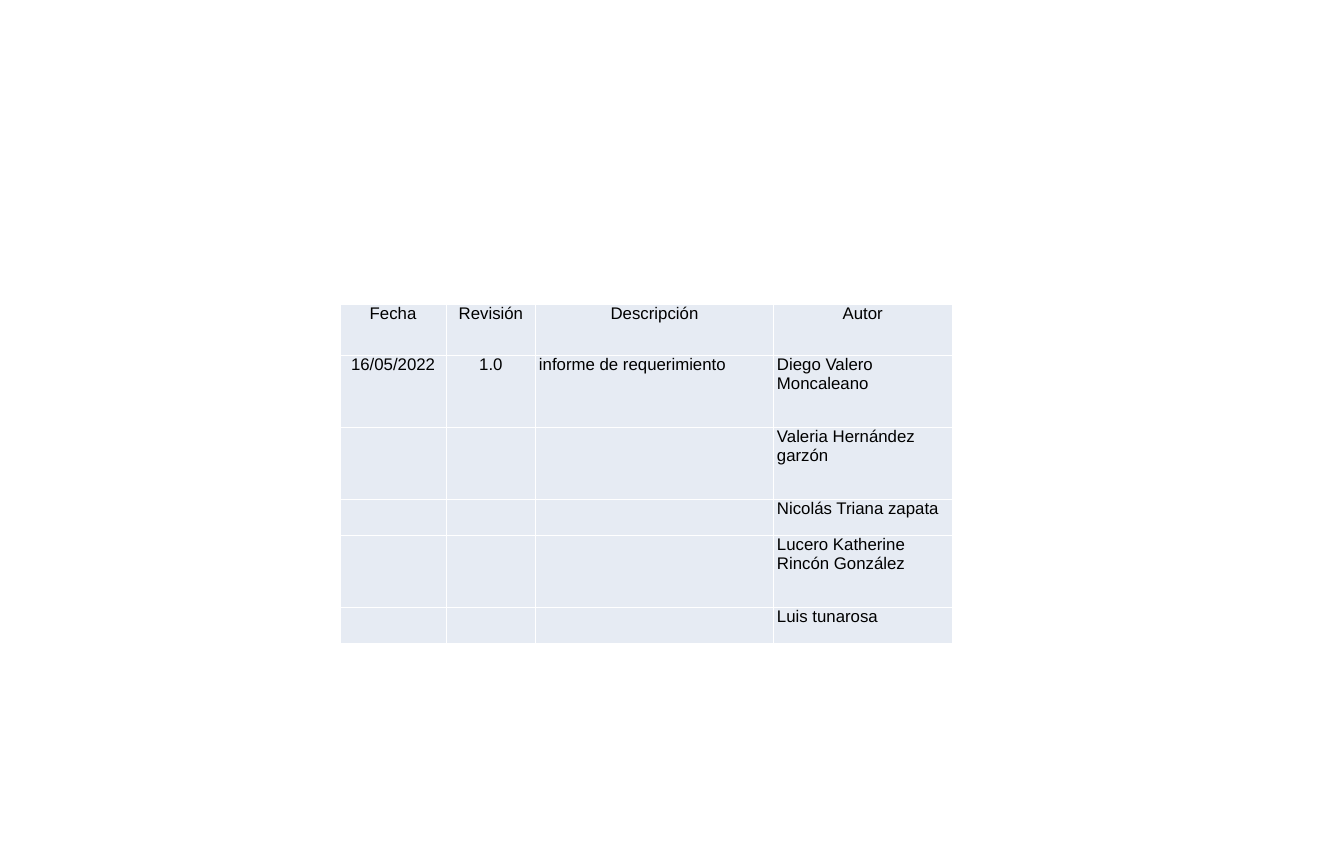
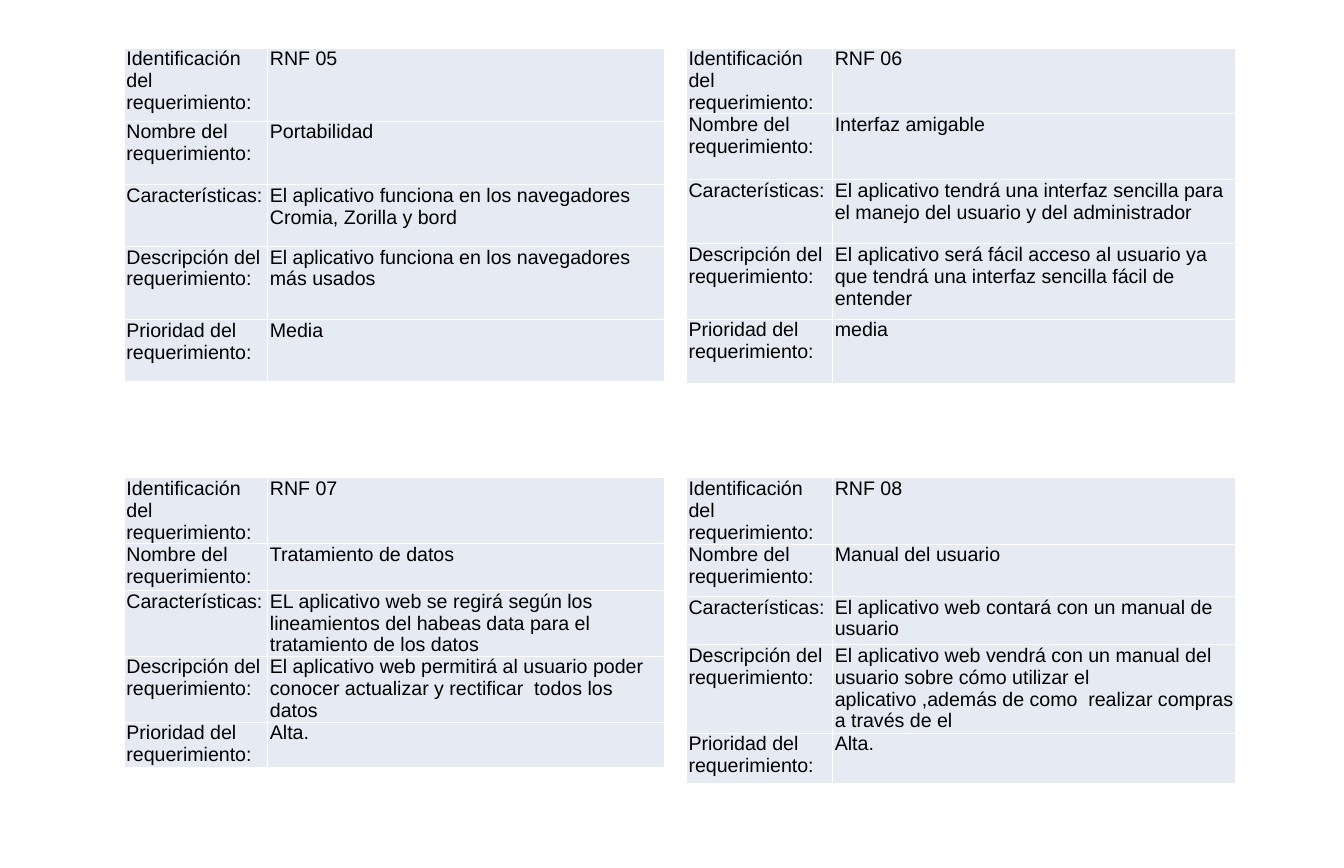
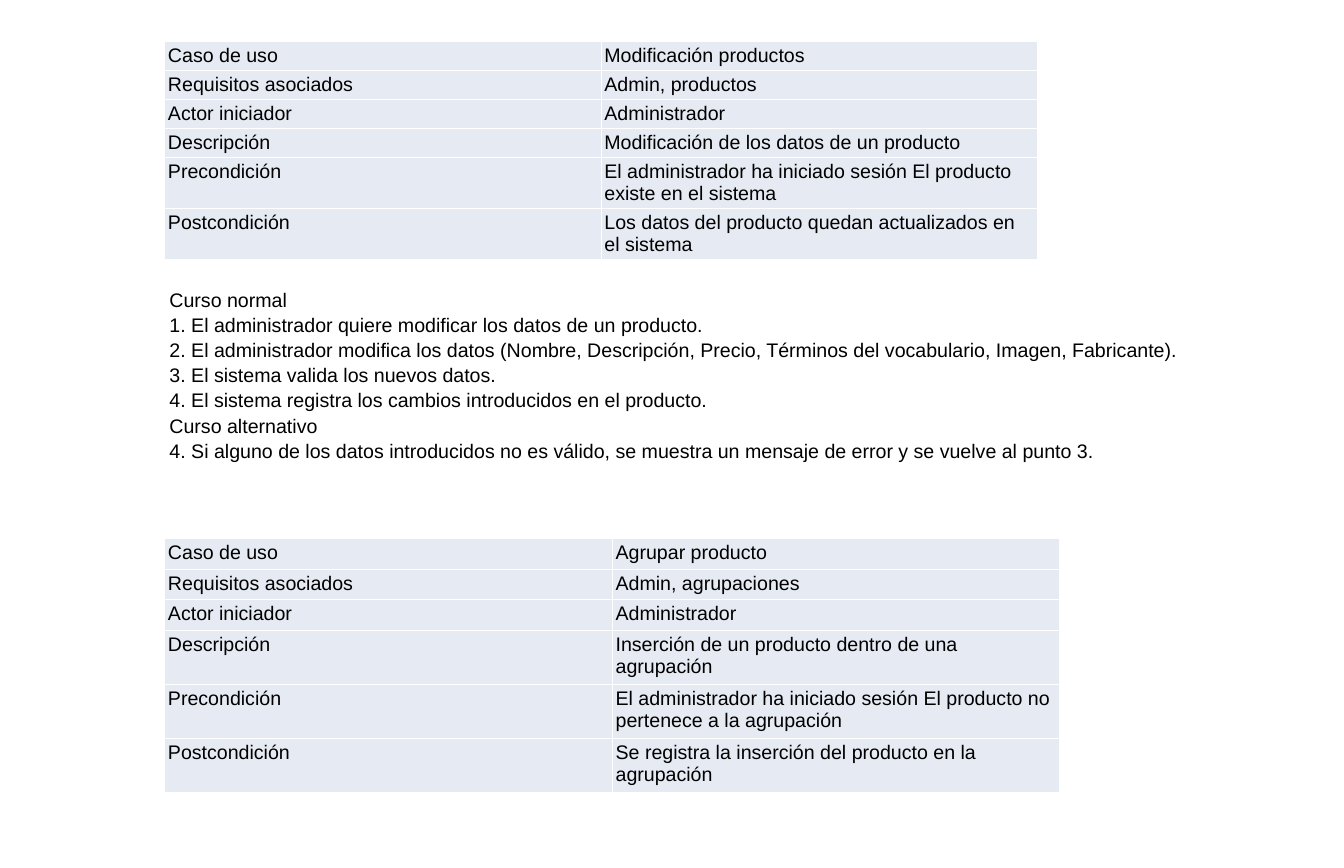
from dataclasses import dataclass

from lxml.etree import SubElement
from pptx import Presentation
from pptx.dml.color import RGBColor
from pptx.enum.text import MSO_ANCHOR, MSO_AUTO_SIZE, PP_ALIGN
from pptx.oxml.ns import qn
from pptx.slide import Slide
from pptx.table import _Cell
from pptx.text.text import _Paragraph
from pptx.util import Pt

# Shared style
FONT = "Arial"
INK = RGBColor(0x00, 0x00, 0x00)
FILL = RGBColor(0xE6, 0xEB, 0xF3)
EDGE = RGBColor(0xFF, 0xFF, 0xFF)
BODY = 28


@dataclass
class Grid:
    """A table; all lengths are in points."""
    left: float
    top: float
    cols: list[float]
    rows: list[float]
    cells: list[list[str]]
    pad_x: float
    pad_y: float = 0
    size: float = BODY
    centred: int = 0  # leading columns that are centred
    head: bool = False  # centre the whole first row


def style(para: _Paragraph, size: float) -> None:
    para.font.name = FONT
    para.font.size = Pt(size)
    para.font.color.rgb = INK


def border(cell: _Cell) -> None:
    props = cell._tc.get_or_add_tcPr()
    for pos, side in enumerate(("lnL", "lnR", "lnT", "lnB")):
        line = props.makeelement(qn(f"a:{side}"), {"w": str(Pt(1))})
        paint = SubElement(line, qn("a:solidFill"))
        SubElement(paint, qn("a:srgbClr"), val=str(EDGE))
        props.insert(pos, line)


def draw_grid(slide: Slide, grid: Grid) -> None:
    table = slide.shapes.add_table(
        len(grid.rows), len(grid.cols), Pt(grid.left), Pt(grid.top),
        Pt(sum(grid.cols)), Pt(sum(grid.rows))).table
    table.first_row = table.horz_banding = False
    for col, width in zip(table.columns, grid.cols):
        col.width = Pt(width)
    for row, height in zip(table.rows, grid.rows):
        row.height = Pt(height)
    for r, texts in enumerate(grid.cells):
        for c, text in enumerate(texts):
            cell = table.cell(r, c)
            cell.text = text
            cell.margin_left = cell.margin_right = Pt(grid.pad_x)
            cell.margin_top = cell.margin_bottom = Pt(grid.pad_y)
            cell.fill.solid()
            cell.fill.fore_color.rgb = FILL
            border(cell)
            para = cell.text_frame.paragraphs[0]
            if c < grid.centred or (grid.head and r == 0):
                para.alignment = PP_ALIGN.CENTER
            style(para, grid.size)


def draw_text(slide: Slide, left: float, top: float, width: float,
              height: float, lines: list[str]) -> None:
    frame = slide.shapes.add_textbox(
        Pt(left), Pt(top), Pt(width), Pt(height)).text_frame
    frame.word_wrap = True
    frame.auto_size = MSO_AUTO_SIZE.SHAPE_TO_FIT_TEXT
    frame.vertical_anchor = MSO_ANCHOR.MIDDLE
    frame.text = "\n".join(lines)
    for para in frame.paragraphs:
        para.line_spacing = 1.07
        style(para, BODY)


def pair(labels: list[str], values: list[str]) -> list[list[str]]:
    return [list(row) for row in zip(labels, values)]


# Slide 1: revision history
AUTHORS = ["Valeria Hernández garzón", "Nicolás Triana zapata",
           "Lucero Katherine Rincón González", "Luis tunarosa"]
HISTORY = Grid(
    485.5, 434, [152, 127.5, 340, 255], [73.5, 103, 103, 51, 103, 51],
    [["Fecha", "Revisión", "Descripción", "Autor"],
     ["16/05/2022", "1.0", "informe de requerimiento",
      "Diego Valero Moncaleano"],
     *(["", "", "", name] for name in AUTHORS)],
    pad_x=5, size=24, centred=2, head=True)

# Slide 2: non-functional requirements, two by two
NEED_KEYS = ["Identificación del requerimiento:", "Nombre del requerimiento:",
             "Características:", "Descripción del requerimiento:",
             "Prioridad del requerimiento:"]
NEED_COLS = [(177, [205, 567]), (980, [209, 576])]
NEED_TOPS = [68.5, 682.5]
NEEDS = [
    ([104.5, 91, 88, 104.5, 88],
     ["RNF 05", "Portabilidad",
      "El aplicativo funciona en los navegadores Cromia, Zorilla y bord",
      "El aplicativo funciona en los navegadores más usados", "Media"]),
    ([91.5, 94.5, 91.5, 107.5, 91.5],
     ["RNF 06", "Interfaz amigable",
      "El aplicativo tendrá una interfaz sencilla para el manejo del usuario "
      "y del administrador",
      "El aplicativo será fácil acceso al usuario ya que tendrá una interfaz "
      "sencilla fácil de entender", "media"]),
    ([94, 67, 94, 94, 65],
     ["RNF 07", "Tratamiento de datos",
      "EL aplicativo web se regirá según los lineamientos del habeas data "
      "para el tratamiento de los datos",
      "El aplicativo web permitirá al usuario poder conocer actualizar y "
      "rectificar  todos los datos", "Alta."]),
    ([94.5, 75, 69, 126, 72.5],
     ["RNF 08", "Manual del usuario",
      "El aplicativo web contará con un manual de usuario",
      "El aplicativo web vendrá con un manual del usuario sobre cómo utilizar "
      "el aplicativo ,además de como  realizar compras a través de el",
      "Alta."]),
]

# Slide 3: use cases
CASE_KEYS = ["Caso de uso", "Requisitos asociados", "Actor iniciador",
             "Descripción", "Precondición", "Postcondición"]
CASES = [
    Grid(235, 59, [623.5] * 2, [41.5] * 4 + [72.5] * 2, pair(CASE_KEYS, [
        "Modificación productos", "Admin, productos", "Administrador",
        "Modificación de los datos de un producto",
        "El administrador ha iniciado sesión El producto existe en el sistema",
        "Los datos del producto quedan actualizados en el sistema"]),
        pad_x=5, pad_y=5),
    Grid(235, 769.5, [639.5] * 2, [43.6] * 3 + [77.2] * 3, pair(CASE_KEYS, [
        "Agrupar producto", "Admin, agrupaciones", "Administrador",
        "Inserción de un producto dentro de una agrupación",
        "El administrador ha iniciado sesión El producto no pertenece a la "
        "agrupación",
        "Se registra la inserción del producto en la agrupación"]),
        pad_x=5, pad_y=5),
]
STEPS = [
    "Curso normal",
    "1. El administrador quiere modificar los datos de un producto.",
    "2. El administrador modifica los datos (Nombre, Descripción, Precio, "
    "Términos del vocabulario, Imagen, Fabricante).",
    "3. El sistema valida los nuevos datos.",
    "4. El sistema registra los cambios introducidos en el producto.",
    "Curso alternativo",
    "4. Si alguno de los datos introducidos no es válido, se muestra un "
    "mensaje de error y se vuelve al punto 3.",
]


def main() -> None:
    deck = Presentation()
    deck.slide_width, deck.slide_height = Pt(1920), Pt(1240)
    blank = deck.slide_layouts[6]
    first, second, third = (deck.slides.add_slide(blank) for _ in range(3))

    draw_grid(first, HISTORY)

    for i, (rows, values) in enumerate(NEEDS):
        left, cols = NEED_COLS[i % 2]
        draw_grid(second, Grid(left, NEED_TOPS[i // 2], cols, rows,
                               pair(NEED_KEYS, values), pad_x=3.6))

    for case in CASES:
        draw_grid(third, case)
    draw_text(third, 235, 412, 1472, 245, STEPS)

    deck.save("out.pptx")


if __name__ == "__main__":
    main()
